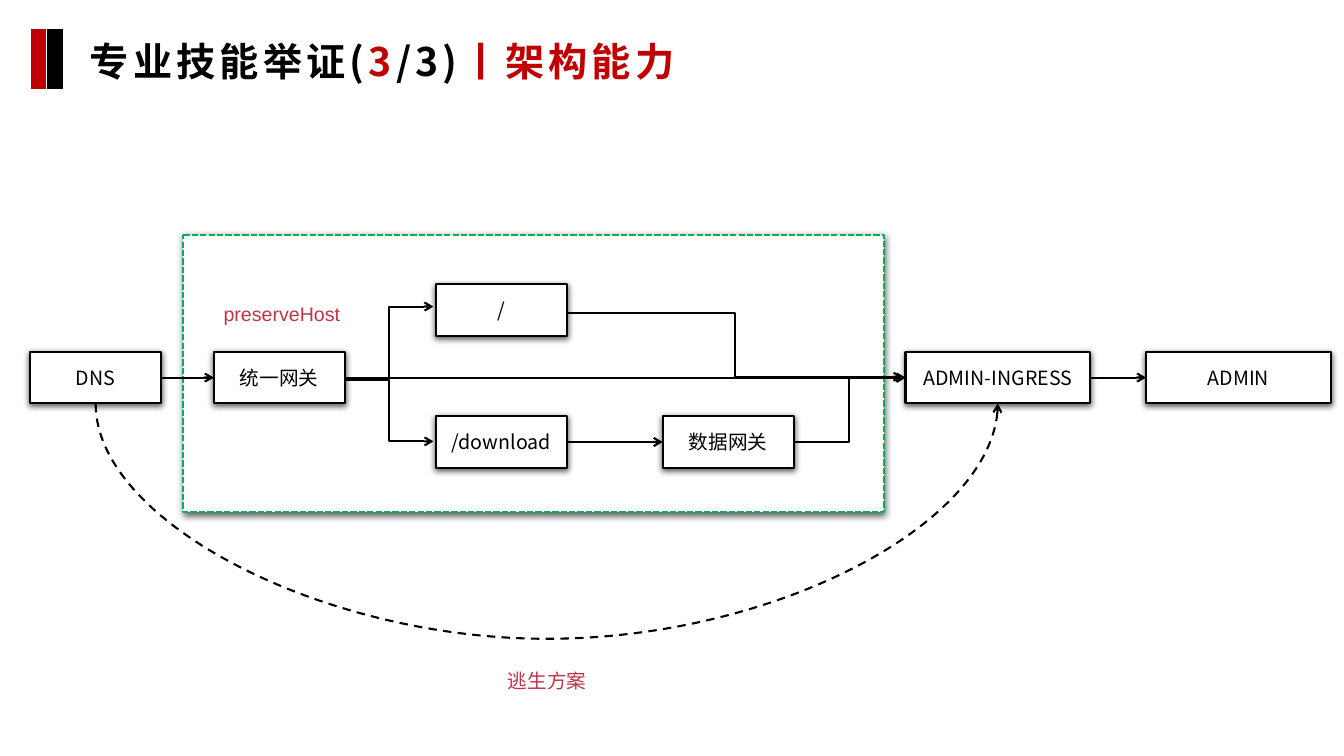
from dataclasses import dataclass
from typing import Optional

from lxml.etree import SubElement
from pptx import Presentation
from pptx.dml.color import RGBColor
from pptx.enum.dml import MSO_LINE_DASH_STYLE as Dash
from pptx.enum.shapes import MSO_CONNECTOR as Conn, MSO_SHAPE as Shape
from pptx.enum.text import MSO_ANCHOR as Anchor, MSO_AUTO_SIZE as AutoSize, PP_ALIGN as Align
from pptx.oxml.ns import qn
from pptx.util import Pt


@dataclass(frozen=True)
class Theme:
    black: RGBColor = RGBColor(0x00, 0x00, 0x00)
    white: RGBColor = RGBColor(0xFF, 0xFF, 0xFF)
    red: RGBColor = RGBColor(0xC0, 0x00, 0x00)
    green: RGBColor = RGBColor(0x00, 0xB0, 0x50)
    note: RGBColor = RGBColor(0xBC, 0x36, 0x49)
    font: str = "Noto Sans CJK SC"
    note_font: str = "Arial"
    title_size: float = 28
    body_size: float = 14
    line: float = 1.5


@dataclass(frozen=True)
class Box:
    text: str
    left: float
    top: float
    width: float = 93.6


@dataclass(frozen=True)
class Link:
    start: str
    end: str
    behind: bool = False


@dataclass(frozen=True)
class Elbow:
    x1: float
    y1: float
    x2: float
    y2: float


@dataclass(frozen=True)
class Note:
    text: str
    left: float
    top: float
    width: float


T = Theme()
BOX_H = 36.8
ROW_TOP, ROW_MID, ROW_LOW = 203, 251.3, 297.3
DNS, GATEWAY, ROOT, DOWNLOAD = "DNS", "统一网关", "/", "/download"
DATA, INGRESS, ADMIN = "数据网关", "ADMIN-INGRESS", "ADMIN"

BOXES = [
    Box(DNS, 21.4, ROW_MID),
    Box(GATEWAY, 152.7, ROW_MID),
    Box(ROOT, 311.4, ROW_TOP),
    Box(DOWNLOAD, 311.4, ROW_LOW),
    Box(DATA, 473.4, ROW_LOW),
    Box(INGRESS, 646.8, ROW_MID, 132),
    Box(ADMIN, 818.6, ROW_MID, 132),
]
LINKS = [
    Link(DNS, GATEWAY),
    Link(DOWNLOAD, DATA),
    Link(INGRESS, ADMIN),
    Link(DNS, INGRESS, behind=True),
]
ELBOWS = [
    Elbow(246.2, 270.5, 309.6, 219),
    Elbow(245.8, 271.2, 309.6, 315.3),
    Elbow(404.9, 223.4, 644.6, 269.1),
    Elbow(566.9, 315.8, 646.6, 269.9),
]
NOTES = [Note("逃生方案", 355.7, 469.4, 70.6), Note("preserveHost", 152.6, 207.4, 97.9)]


def set_font(font, name: str, size: float, color: RGBColor, bold: bool = False) -> None:
    font.name, font.size, font.bold = name, Pt(size), bold
    font.color.rgb = color
    SubElement(font._element, qn("a:ea"), typeface=name)


def add_rect(s, kind, left: float, top: float, width: float, height: float, fill: RGBColor,
             line: RGBColor, weight: float, shadow: bool = False):
    sp = s.shapes.add_shape(kind, Pt(left), Pt(top), Pt(width), Pt(height))
    sp.fill.solid()
    sp.fill.fore_color.rgb = fill
    sp.line.color.rgb, sp.line.width = line, Pt(weight)
    sp.shadow.inherit = False
    if shadow:
        effects = sp._element.spPr.find(qn("a:effectLst"))
        outer = SubElement(effects, qn("a:outerShdw"), blurRad=str(Pt(4.5)), dist=str(Pt(1.5)),
                           dir="5400000", rotWithShape="0")
        SubElement(SubElement(outer, qn("a:srgbClr"), val=str(T.black)), qn("a:alpha"), val="63000")
    return sp


def add_box(s, box: Box):
    sp = add_rect(s, Shape.FLOWCHART_PROCESS, box.left, box.top, box.width, BOX_H,
                  T.white, T.black, T.line, shadow=True)
    tf = sp.text_frame
    tf.vertical_anchor = Anchor.MIDDLE
    p = tf.paragraphs[0]
    p.text, p.alignment = box.text, Align.CENTER
    set_font(p.font, T.font, T.body_size, T.black)
    return sp


def add_arrow(s, kind, x1: float, y1: float, x2: float, y2: float, dash: Optional[Dash] = None):
    c = s.shapes.add_connector(kind, Pt(x1), Pt(y1), Pt(x2), Pt(y2))
    c.line.color.rgb, c.line.width = T.black, Pt(T.line)
    if dash is not None:
        c.line.dash_style = dash
    SubElement(c.line._get_or_add_ln(), qn("a:tailEnd"), type="arrow")
    SubElement(c._element.spPr, qn("a:effectLst"))
    return c


def add_escape_curve(s) -> None:
    # A thin connector turned a quarter; its adjustment sets how far the curve sags
    thickness, span, sag = 0.25, 644.4, 164.4
    left, top = 390.4, -33.8
    c = add_arrow(s, Conn.CURVE, left, top, left + thickness, top + span, Dash.DASH)
    xfrm = c._element.spPr.find(qn("a:xfrm"))
    for key, value in (("rot", "5400000"), ("flipH", "1"), ("flipV", "1")):
        xfrm.set(key, value)
    geom = c._element.spPr.find(qn("a:prstGeom"))
    guides = geom.find(qn("a:avLst"))
    if guides is None:
        guides = SubElement(geom, qn("a:avLst"))
    SubElement(guides, qn("a:gd"), name="adj1", fmla=f"val {-round(sag / thickness * 100000)}")


def add_note(s, note: Note) -> None:
    tf = s.shapes.add_textbox(Pt(note.left), Pt(note.top), Pt(note.width), Pt(29.5)).text_frame
    tf.word_wrap, tf.auto_size = False, AutoSize.SHAPE_TO_FIT_TEXT
    p = tf.paragraphs[0]
    p.text, p.line_spacing = note.text, 1.3
    set_font(p.font, T.note_font, T.body_size, T.note)


def add_title(s) -> None:
    sp = s.shapes.title
    sp.left, sp.top, sp.width, sp.height = Pt(56.9), Pt(23.3), Pt(873.4), Pt(41)
    tf = sp.text_frame
    tf.word_wrap, tf.auto_size = True, AutoSize.NONE
    tf.vertical_anchor = Anchor.MIDDLE
    tf.margin_top = tf.margin_bottom = 0
    p = tf.paragraphs[0]
    p.alignment = Align.LEFT
    for text, color in (("专业技能举证(", T.black), ("3", T.red), ("/3)", T.black),
                        ("丨架构能力", T.red)):
        r = p.add_run()
        r.text = text
        set_font(r.font, T.font, T.title_size, color, bold=True)
        r.font._element.set("spc", "300")


def main() -> None:
    prs = Presentation()
    prs.slide_width, prs.slide_height = Pt(960), Pt(540)
    s = prs.slides.add_slide(prs.slide_layouts[5])

    # Title with its two bars
    add_title(s)
    for left, color in ((21.6, T.red), (33.4, T.black)):
        add_rect(s, Shape.RECTANGLE, left, 20.3, 12, 43.7, color, T.white, 0.75)

    # Gateway zone
    zone = add_rect(s, Shape.FLOWCHART_PROCESS, 131, 167.8, 500.7, 198,
                    T.white, T.green, T.line, shadow=True)
    zone.line.dash_style = Dash.SQUARE_DOT

    # Nodes and arrows; the direct arrow runs behind the nodes
    nodes = {box.text: add_box(s, box) for box in BOXES}
    for link in LINKS:
        c = add_arrow(s, Conn.STRAIGHT, 0, 0, 0, 0)
        c.begin_connect(nodes[link.start], 3)
        c.end_connect(nodes[link.end], 1)
        if link.behind:
            zone._element.addnext(c._element)
    for e in ELBOWS:
        add_arrow(s, Conn.ELBOW, e.x1, e.y1, e.x2, e.y2)
    add_escape_curve(s)

    # Notes
    for note in NOTES:
        add_note(s, note)
    prs.save("out.pptx")


if __name__ == "__main__":
    main()
